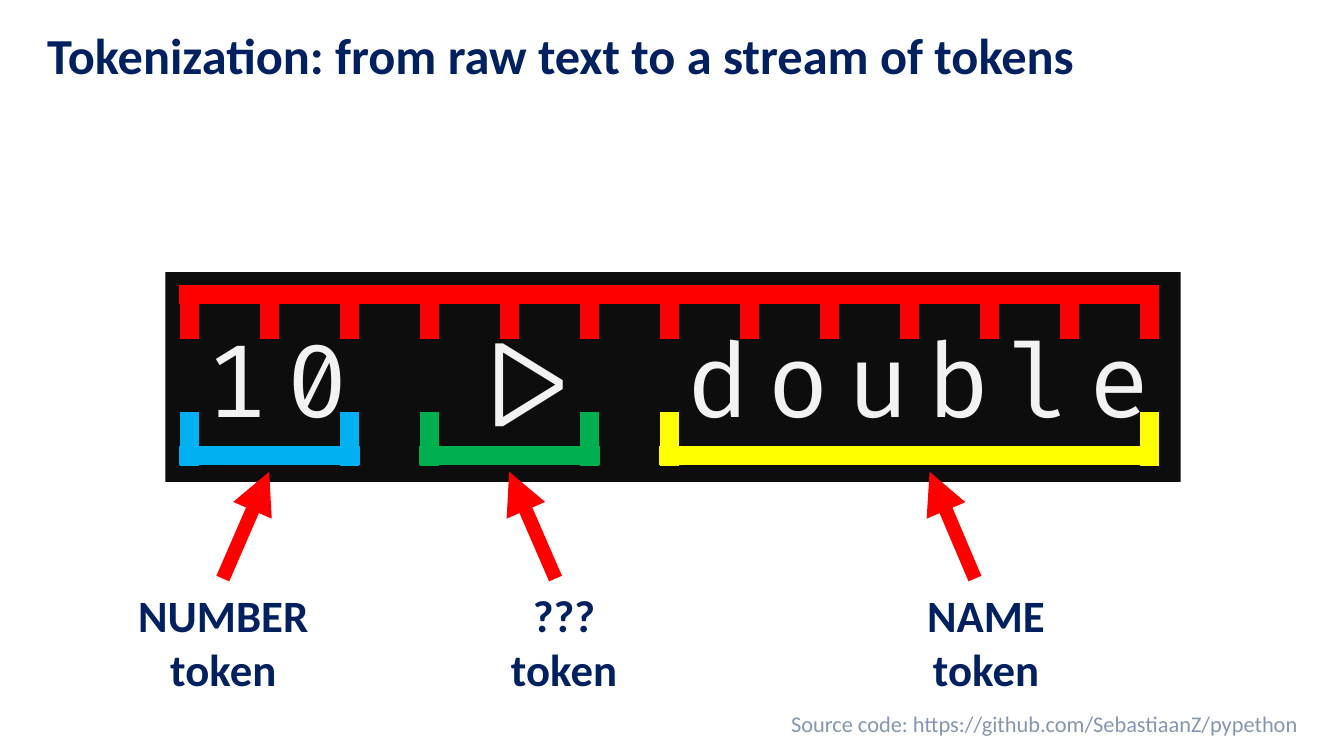
import pptx
import pptx.dml.color
import pptx.enum.shapes
import pptx.enum.text
import pptx.oxml
import pptx.util
from pptx.dml.color import RGBColor
from pptx.util import Inches

NAVY = RGBColor(0x00, 0x20, 0x60)
SLATE = RGBColor(0x84, 0x97, 0xB0)
INK = RGBColor(0x0D, 0x0D, 0x0D)
PALE = RGBColor(0xF2, 0xF2, 0xF2)
RED = RGBColor(0xFF, 0x00, 0x00)
BLUE = RGBColor(0x00, 0xB0, 0xF0)
GREEN = RGBColor(0x00, 0xB0, 0x50)
YELLOW = RGBColor(0xFF, 0xFF, 0x00)

ALIGN = pptx.enum.text.PP_ALIGN
ANCHOR = pptx.enum.text.MSO_ANCHOR

CODE = "10 |> double"
FIRST_TICK, LAST_TICK = 1.88, 11.4
PITCH = (LAST_TICK - FIRST_TICK) / len(CODE)
BAR_WEIGHT = 14
HALF_BAR = 0.1
TICK_LENGTH = 0.53

# colour, first and last character boundary
TOKENS = [(BLUE, 0, 2), (GREEN, 3, 5), (YELLOW, 6, 12)]
# kind, label box, arrow start and tip
LABELS = [
    ("NUMBER", (1.26, 5.78, 1.91, 1.18), 2.21, 2.67),
    ("NAME", (9.09, 5.78, 1.38, 1.18), 9.67, 9.22),
    ("???", (4.96, 5.78, 1.27, 1.18), 5.51, 5.05),
]


def add_span(para, text, size, color, bold=False, font="Calibri"):
    span = para.add_run()
    span.text = text
    span.font.name = font
    span.font.size = pptx.util.Pt(size)
    span.font.bold = bold
    span.font.color.rgb = color
    return span


def add_text(shapes, box, lines, size, color, bold=False, align=ALIGN.LEFT,
             anchor=ANCHOR.TOP, wrap=True):
    frame = shapes.add_textbox(*map(Inches, box)).text_frame
    frame.word_wrap = wrap
    frame.vertical_anchor = anchor
    for index, line in enumerate(lines):
        para = frame.add_paragraph() if index else frame.paragraphs[0]
        para.alignment = align
        add_span(para, line, size, color, bold)
    return frame


def add_line(shapes, start, end, color, weight):
    line = shapes.add_connector(
        pptx.enum.shapes.MSO_CONNECTOR.STRAIGHT, *map(Inches, start + end))
    line.line.color.rgb = color
    line.line.width = pptx.util.Pt(weight)
    properties = line._element.spPr
    properties.append(pptx.oxml.parse_xml(
        '<a:effectLst xmlns:a="http://schemas.openxmlformats.org/drawingml/2006/main"/>'))
    return line


def add_arrow(shapes, start, end):
    arrow = add_line(shapes, start, end, RED, 10)
    arrow.line._get_or_add_ln().append(pptx.oxml.parse_xml(
        '<a:tailEnd xmlns:a="http://schemas.openxmlformats.org/drawingml/2006/main"'
        ' type="triangle"/>'))


def add_comb(page, ticks, color, spine, tip):
    """Draw a bar at height spine with teeth at the character boundaries, ending at tip."""
    shapes = page.shapes.add_group_shape().shapes
    places = [FIRST_TICK + PITCH * tick for tick in ticks]
    add_line(shapes, (places[0] - HALF_BAR, spine), (places[-1] + HALF_BAR, spine),
             color, BAR_WEIGHT)
    outer = tip - TICK_LENGTH if tip > spine else tip + TICK_LENGTH
    for place in places:
        add_line(shapes, (place, outer), (place, tip), color, BAR_WEIGHT)


def add_code_panel(page, box):
    left, top, width, height = box
    panel = page.shapes.add_shape(
        pptx.enum.shapes.MSO_SHAPE.RECTANGLE, *map(Inches, box))
    panel.shadow.inherit = False
    panel.fill.solid()
    panel.fill.fore_color.rgb = INK
    panel.line.fill.background()
    frame = panel.text_frame
    frame.word_wrap = False
    frame.vertical_anchor = ANCHOR.MIDDLE
    frame.margin_left = Inches(0.28)
    frame.margin_right = frame.margin_top = frame.margin_bottom = Inches(0.16)
    para = frame.paragraphs[0]
    para.alignment = ALIGN.CENTER
    span = add_span(para, CODE, 72, PALE, font="Fira Code")
    span.font._element.set("spc", "1300")

    add_comb(page, range(len(CODE) + 1), RED, top + 0.22, top + 0.66)
    for color, first, last in TOKENS:
        add_comb(page, (first, last), color, top + 1.82, top + 1.39)


def add_token_label(page, kind, box, start, tip):
    shapes = page.shapes.add_group_shape().shapes
    top = box[1]
    add_arrow(shapes, (start, top - 0.04), (tip, top - 1.1))
    frame = add_text(shapes, box, [kind, "token"], 32, NAVY, bold=True,
                     align=ALIGN.CENTER, wrap=False)
    frame.auto_size = pptx.enum.text.MSO_AUTO_SIZE.SHAPE_TO_FIT_TEXT


def add_title(page, box):
    frame = add_text(page.shapes, box, ["Tokenization: from raw text to a stream of tokens"],
                     36, NAVY, bold=True, anchor=ANCHOR.MIDDLE)
    frame.paragraphs[0].line_spacing = 0.9


def add_source_line(page, box):
    add_text(page.shapes, box, ["Source code: https://github.com/SebastiaanZ/pypethon"],
             16, SLATE, align=ALIGN.RIGHT)


def main():
    deck = pptx.Presentation()
    deck.slide_width, deck.slide_height = Inches(13.33), Inches(7.5)
    page = deck.slides.add_slide(deck.slide_layouts[6])
    add_title(page, (0.37, 0.26, 12.6, 0.63))
    add_source_line(page, (0.37, 7, 12.6, 0.4))
    add_code_panel(page, (1.64, 2.7, 10.07, 2.08))
    for label in LABELS:
        add_token_label(page, *label)
    deck.save("out.pptx")


if __name__ == "__main__":
    main()
